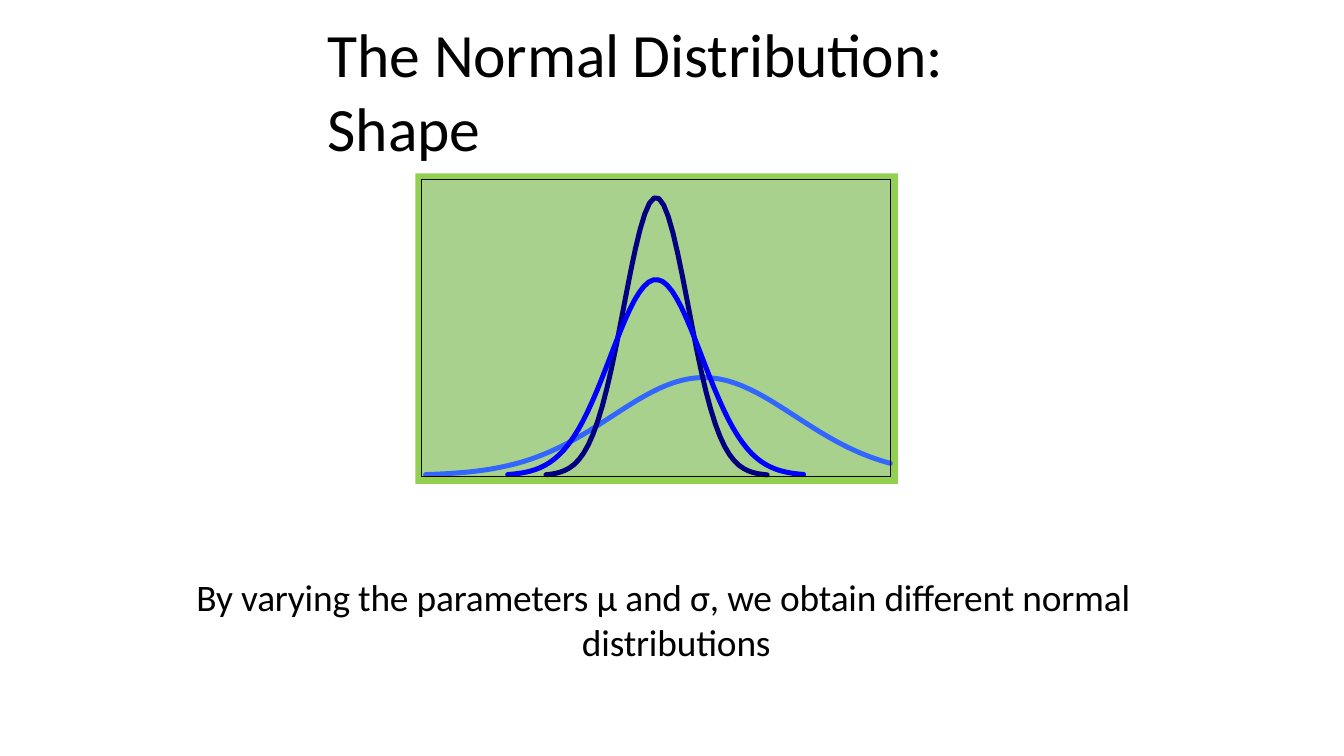
import math

from pptx import Presentation
from pptx.dml.color import RGBColor
from pptx.enum import text
from pptx.util import Pt

COLORS = {
    "black": "000000",
    "white": "FFFFFF",
    "frame": "92D050",
    "plot": "A9D18E",
    "wide": "3366FF",
    "narrow": "000080",
    "medium": "0000FF",
}
BASELINE = 254.8
STEP = 2.5

# name, mean, sigma, peak height, first x, last x
CURVES = [
    ("wide", 377, 49, 52.5, 228, 477),
    ("narrow", 351.5, 17.3, 149, 292.5, 411),
    ("medium", 351.5, 24.5, 105, 272, 430.5),
]


def color(name):
    return RGBColor.from_string(COLORS[name])


def add_box(s, x, y, w, h, fill=None, line=None):
    """Rectangle with an optional fill and an optional thin outline."""
    sp = s.shapes.add_shape(1, Pt(x), Pt(y), Pt(w), Pt(h))
    sp.shadow.inherit = False
    if fill:
        sp.fill.solid()
        sp.fill.fore_color.rgb = color(fill)
    else:
        sp.fill.background()
    if line:
        sp.line.color.rgb = color(line)
        sp.line.width = Pt(0.67)
    else:
        sp.line.fill.background()
    return sp


def add_curve(s, name, mean, sigma, peak, start, end):
    """Bell curve standing on the baseline."""
    count = round((end - start) / STEP)
    xs = [start + (end - start) * i / count for i in range(count + 1)]
    points = [
        (Pt(x), Pt(BASELINE - peak * math.exp(-(((x - mean) / sigma) ** 2) / 2)))
        for x in xs
    ]
    builder = s.shapes.build_freeform(*points[0])
    builder.add_line_segments(points[1:], close=False)
    sp = builder.convert_to_shape()
    sp.shadow.inherit = False
    sp.fill.background()
    sp.line.color.rgb = color(name)
    sp.line.width = Pt(2.67)
    sp.line._get_or_add_ln().set("cap", "rnd")


def write(sp, words, size, anchor, top, before):
    """Put one left-aligned paragraph into a shape and return it."""
    tf = sp.text_frame
    tf.word_wrap = True
    tf.vertical_anchor = anchor
    tf.margin_left = tf.margin_right = tf.margin_bottom = 0
    tf.margin_top = Pt(top)
    p = tf.paragraphs[0]
    p.alignment = text.PP_ALIGN.LEFT
    p.space_before = Pt(before)
    p.font.name = "Calibri"
    p.font.size = Pt(size)
    p.font.color.rgb = color("black")
    r = p.add_run()
    r.text = words
    r.font._element.set("spc", "-10")
    return p


def main():
    prs = Presentation()
    prs.slide_width, prs.slide_height = Pt(720), Pt(405)
    s = prs.slides.add_slide(prs.slide_layouts[6])

    # Title
    title = s.shapes.add_textbox(Pt(175.7), Pt(30.2), Pt(368.6), Pt(35.3))
    write(title, "The Normal Distribution: Shape", 33,
          text.MSO_ANCHOR.MIDDLE, 0.7, 0.9)

    # Plot with its curves
    add_box(s, 222.5, 92.9, 258.5, 166.3, fill="frame")
    add_box(s, 225.7, 96.3, 251.3, 158.6, fill="plot")
    for curve in CURVES:
        add_curve(s, *curve)
    add_box(s, 225.9, 96.3, 251.3, 159.1, line="black")

    # Caption: the second line is indented below the middle of the first
    caption = add_box(s, 56.2, 305.3, 604.8, 54.7, fill="white")
    p = write(caption,
              "By varying the parameters μ and σ, we obtain different normal distributions",
              20, text.MSO_ANCHOR.TOP, 2.2, 1.9)
    pPr = p._p.get_or_add_pPr()
    pPr.set("marL", str(Pt(255.6)))
    pPr.set("indent", str(Pt(-206.6)))

    prs.save("out.pptx")


if __name__ == "__main__":
    main()
